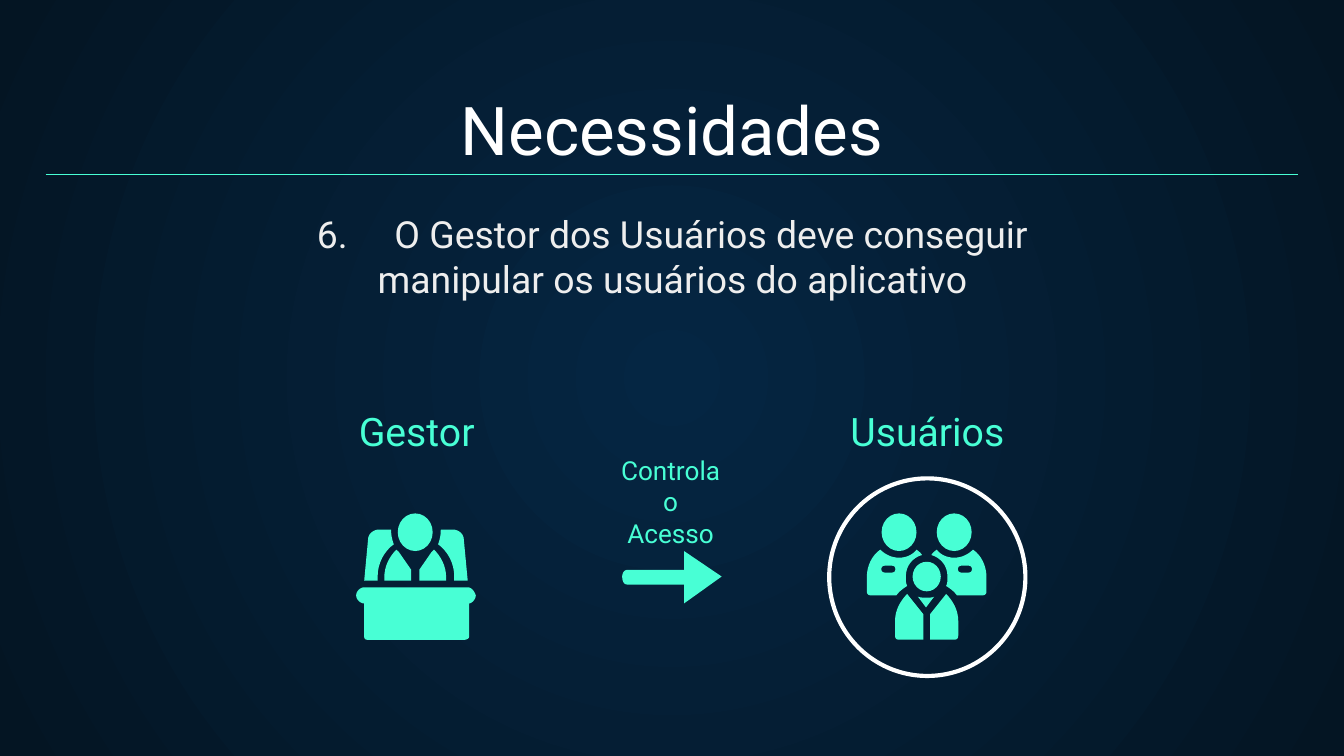
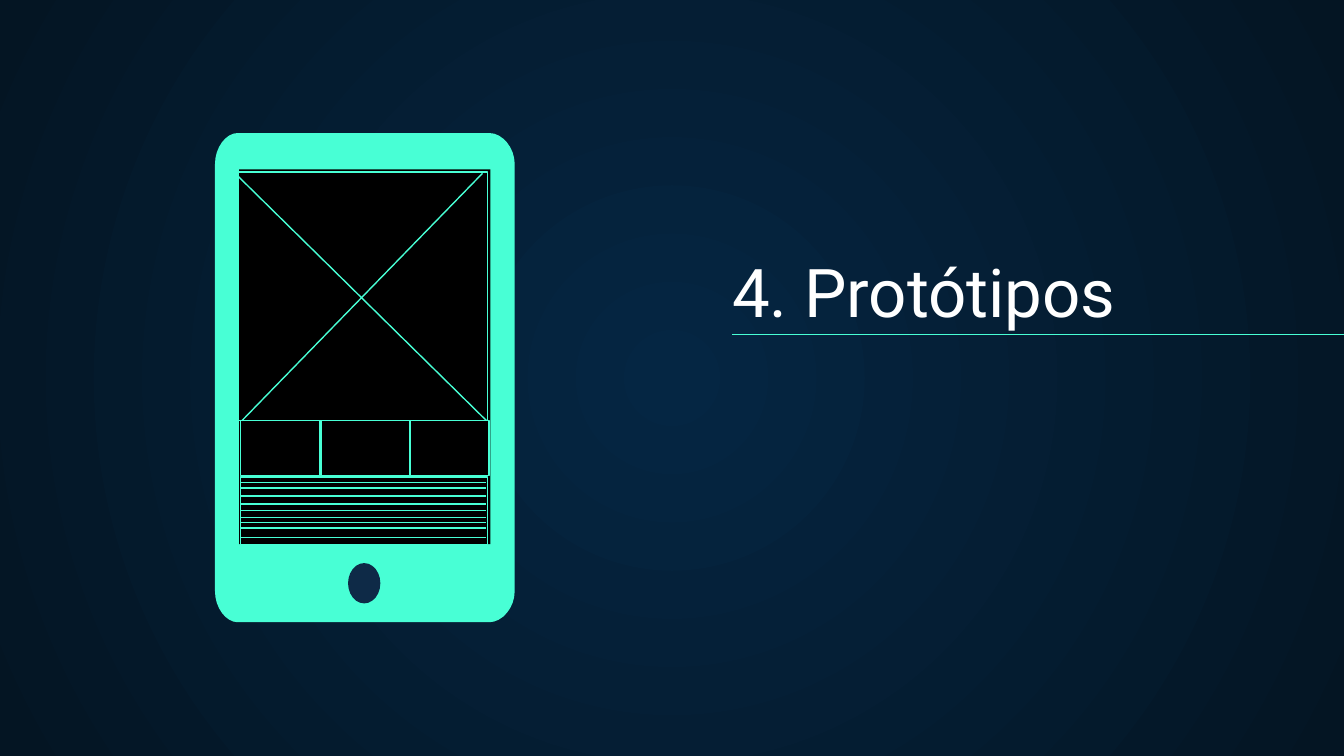
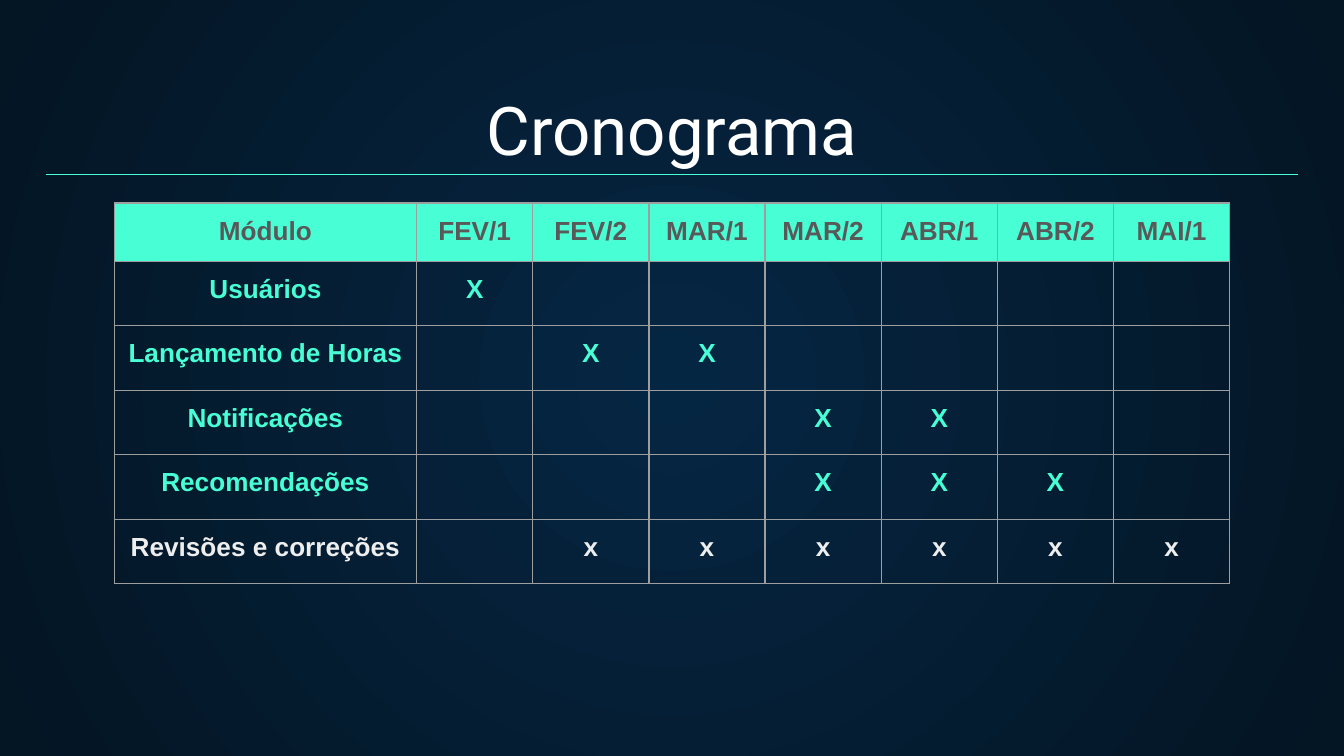
from dataclasses import dataclass

from lxml import etree
from pptx import Presentation
from pptx.dml.color import RGBColor
from pptx.enum.shapes import MSO_CONNECTOR, MSO_SHAPE
from pptx.enum.text import MSO_ANCHOR, PP_ALIGN
from pptx.oxml.ns import qn
from pptx.util import Inches, Pt

RECT, OVAL = MSO_SHAPE.RECTANGLE, MSO_SHAPE.OVAL
STRAIGHT = MSO_CONNECTOR.STRAIGHT
LEFT, CENTER = PP_ALIGN.LEFT, PP_ALIGN.CENTER
TOP, BOTTOM = MSO_ANCHOR.TOP, MSO_ANCHOR.BOTTOM


@dataclass(frozen=True)
class Theme:
    glow: str = "052643"
    night: str = "041523"
    mint: str = "48FFD5"
    white: str = "FFFFFF"
    pale: str = "EEEEEE"
    black: str = "000000"
    navy: str = "0E2A47"
    gray: str = "595959"
    grid: str = "9E9E9E"
    font: str = "Roboto"
    cell_font: str = "Arial"
    title: int = 36
    label: int = 21
    body: int = 20
    small: int = 14
    thin: float = 0.75
    thick: float = 2.25


T = Theme()


def rgb(code):
    return RGBColor.from_string(code)


# Shared background
def set_back(master):
    fill = master.background.fill
    fill.gradient()
    for stop, code in zip(fill.gradient_stops, (T.glow, T.night)):
        stop.color.rgb = rgb(code)
    grad = master.element.find(".//" + qn("a:gradFill"))
    grad.remove(grad.find(qn("a:lin")))
    ring = etree.SubElement(grad, qn("a:path"), path="circle")
    etree.SubElement(ring, qn("a:fillToRect"),
                     {side: "50000" for side in "ltrb"})


# Text
def add_run(para, text, size, color, font=T.font, bold=False):
    run = para.add_run()
    run.text = text
    run.font.size, run.font.name, run.font.bold = Pt(size), font, bold
    run.font.color.rgb = rgb(color)
    return run


def add_text(slide, box, text, size, color, align=CENTER, anchor=TOP):
    frame = slide.shapes.add_textbox(*map(Inches, box)).text_frame
    frame.word_wrap = True
    frame.vertical_anchor = anchor
    frame.margin_left = frame.margin_right = Inches(0.1)
    frame.margin_top = frame.margin_bottom = Inches(0.1)
    para = frame.paragraphs[0]
    para.alignment = align
    if text:
        add_run(para, text, size, color)
    return para


# Lines and shapes
def add_line(slide, start, end):
    line = slide.shapes.add_connector(
        STRAIGHT, *map(Inches, (*start, *end)))
    line.line.color.rgb = rgb(T.mint)
    line.line.width = Pt(T.thin)
    etree.SubElement(line.element.spPr, qn("a:effectLst"))


def paint(shape, fill=None, line=None, width=T.thin):
    shape.shadow.inherit = False
    if fill:
        shape.fill.solid()
        shape.fill.fore_color.rgb = rgb(fill)
    else:
        shape.fill.background()
    if line:
        shape.line.color.rgb = rgb(line)
        shape.line.width = Pt(width)
    else:
        shape.line.fill.background()


def add_form(shapes, kind, box, **look):
    paint(shapes.add_shape(kind, *map(Inches, box)), **look)


def trace(path, steps=8):
    """Turn (x, y) corners and six-number Bezier curves into points."""
    points = [path[0]]
    for part in path[1:]:
        if len(part) == 2:
            points.append(part)
            continue
        knots = [points[-1], part[:2], part[2:4], part[4:]]
        for i in range(1, steps + 1):
            t = i / steps
            mix = ((1 - t) ** 3, 3 * t * (1 - t) ** 2,
                   3 * t * t * (1 - t), t ** 3)
            points.append(tuple(sum(m * k[axis] for m, k in zip(mix, knots))
                                for axis in (0, 1)))
    return [(Inches(x), Inches(y)) for x, y in points]


def add_path(shapes, *paths):
    first, *holes = map(trace, paths)
    pen = shapes.build_freeform(*first[0])
    pen.add_line_segments(first[1:], close=True)
    for hole in holes:
        pen.move_to(*hole[0])
        pen.add_line_segments(hole[1:], close=True)
    paint(pen.convert_to_shape(), fill=T.mint)


def flip(path, total):
    return [tuple(total - v if i % 2 == 0 else v
                  for i, v in enumerate(part)) for part in path]


def add_pair(shapes, total, *paths):
    """Draw a part and its mirror; total is the sum of both x values."""
    add_path(shapes, *paths)
    add_path(shapes, *(flip(path, total) for path in paths))


# Icons
def draw_desk(slide):
    shapes = slide.shapes.add_group_shape().shapes
    add_form(shapes, OVAL, (2.96, 3.82, 0.26, 0.28), fill=T.mint)
    desk = [(2.71, 4.37), (2.68, 4.37, 2.65, 4.4, 2.65, 4.43),
            (2.65, 4.46, 2.68, 4.49, 2.71, 4.49), (2.71, 4.74),
            (2.71, 4.75, 2.72, 4.76, 2.73, 4.76), (3.46, 4.76),
            (3.47, 4.76, 3.49, 4.75, 3.49, 4.74), (3.49, 4.49),
            (3.51, 4.49, 3.54, 4.46, 3.54, 4.43),
            (3.53, 4.4, 3.51, 4.37, 3.48, 4.37)]
    chair = [(2.82, 3.94), (2.79, 3.94, 2.75, 3.96, 2.74, 4), (2.71, 4.32),
             (2.81, 4.32), (2.81, 4.29),
             (2.81, 4.19, 2.86, 4.1, 2.93, 4.05),
             (2.92, 4.02, 2.91, 3.99, 2.91, 3.94)]
    coat = [(2.95, 4.09), (2.9, 4.14, 2.86, 4.21, 2.86, 4.3), (2.86, 4.32),
            (3.06, 4.32), (3.06, 4.24), (2.97, 4.11)]
    add_path(shapes, desk)
    add_pair(shapes, 6.19, chair)
    add_pair(shapes, 6.18, coat)


def draw_team(slide):
    shapes = slide.shapes.add_group_shape().shapes
    total = 13.79
    for head in ((6.79, 4.18, 0.21, 0.22), (6.56, 3.82, 0.26, 0.28),
                 (6.97, 3.82, 0.26, 0.28)):
        add_form(shapes, OVAL, head, fill=T.mint)
    collar = [(6.83, 4.44), (6.89, 4.52), (6.95, 4.44),
              (6.94, 4.45, 6.85, 4.45, 6.83, 4.44)]
    coat = [(6.75, 4.42), (6.7, 4.47, 6.66, 4.54, 6.66, 4.62), (6.66, 4.73),
            (6.66, 4.75, 6.67, 4.76, 6.69, 4.76), (6.87, 4.76), (6.87, 4.57)]
    badge = [(6.64, 4.21), (6.67, 4.21, 6.67, 4.26, 6.64, 4.26),
             (6.58, 4.26), (6.55, 4.26, 6.55, 4.21, 6.58, 4.21)]
    torso = [(6.55, 4.09), (6.49, 4.13, 6.45, 4.21, 6.45, 4.29), (6.45, 4.4),
             (6.45, 4.42, 6.46, 4.43, 6.48, 4.43), (6.67, 4.43),
             (6.69, 4.4, 6.72, 4.38, 6.75, 4.36),
             (6.74, 4.34, 6.74, 4.32, 6.74, 4.29),
             (6.74, 4.21, 6.79, 4.15, 6.86, 4.13),
             (6.85, 4.11, 6.83, 4.1, 6.82, 4.09),
             (6.79, 4.13, 6.74, 4.15, 6.69, 4.15),
             (6.64, 4.15, 6.59, 4.13, 6.55, 4.09)]
    add_path(shapes, collar)
    add_pair(shapes, total, coat)
    add_pair(shapes, total, torso, badge)


def draw_arrow(slide):
    add_path(slide.shapes, [
        (5.37, 4.29), (5.09, 4.1), (5.09, 4.24), (4.67, 4.24),
        (4.64, 4.24, 4.63, 4.27, 4.63, 4.29),
        (4.63, 4.32, 4.64, 4.35, 4.67, 4.35), (5.09, 4.35), (5.09, 4.49)])


def draw_phone(slide):
    shapes = slide.shapes
    add_path(shapes, [
        (1.77, 0.99), (1.68, 0.99, 1.6, 1.1, 1.6, 1.22), (1.6, 4.4),
        (1.6, 4.52, 1.68, 4.63, 1.77, 4.63), (3.64, 4.63),
        (3.74, 4.63, 3.83, 4.52, 3.83, 4.4), (3.83, 1.22),
        (3.83, 1.1, 3.74, 0.99, 3.64, 0.99)])
    add_form(shapes, RECT, (1.78, 1.26, 1.87, 2.79), fill=T.black)
    add_form(shapes, OVAL, (2.59, 4.19, 0.24, 0.3), fill=T.navy)
    # Wireframe: image area, three tabs, text block
    for box in ((1.76, 1.28, 1.87, 1.85), (1.79, 3.55, 1.84, 0.5),
                (1.79, 3.13, 0.59, 0.41), (2.39, 3.13, 0.66, 0.41),
                (3.05, 3.13, 0.59, 0.41)):
        add_form(shapes, RECT, box, line=T.mint)
    add_line(slide, (3.59, 1.29), (1.8, 3.13))
    add_line(slide, (1.76, 1.3), (3.62, 3.13))
    for y in (3.59, 3.63, 3.69, 3.75, 3.8, 3.85, 3.89, 3.93, 4):
        add_line(slide, (1.79, y), (3.62, y))


# Table
def set_edges(cell):
    props = cell._tc.get_or_add_tcPr()
    for side in "LRTB":
        edge = etree.SubElement(props, qn("a:ln" + side),
                                w=str(Pt(T.thin)))
        fill = etree.SubElement(edge, qn("a:solidFill"))
        etree.SubElement(fill, qn("a:srgbClr"), val=T.grid)


def fill_cell(cell, text, color, fill=None):
    set_edges(cell)
    if fill:
        cell.fill.solid()
        cell.fill.fore_color.rgb = rgb(fill)
    else:
        cell.fill.background()
    if text:
        cell.margin_left = cell.margin_right = Inches(0.1)
        cell.margin_top = cell.margin_bottom = Inches(0.1)
        para = cell.text_frame.paragraphs[0]
        para.alignment = CENTER
        add_run(para, text, T.small, color, T.cell_font, True)


def add_plan(slide, months, plan):
    rows, cols = len(plan) + 1, len(months) + 1
    width, first = 8.3, 2.25
    table = slide.shapes.add_table(
        rows, cols, *map(Inches, (0.85, 1.51, width, 2.83))).table
    table.first_row = table.horz_banding = False
    for i, col in enumerate(table.columns):
        col.width = Inches((width - first) / len(months) if i else first)
    for i, row in enumerate(table.rows):
        row.height = Inches(0.48 if i else 0.43)
    for i, text in enumerate(["Módulo", *months]):
        fill_cell(table.cell(0, i), text, T.gray, T.mint)
    for i, (task, mark, color, busy) in enumerate(plan, 1):
        fill_cell(table.cell(i, 0), task, color)
        for j in range(1, cols):
            fill_cell(table.cell(i, j), mark if j in busy else "", color)


# Slides
def add_slide(prs):
    return prs.slides.add_slide(prs.slide_layouts[6])


def add_title(slide, text):
    add_text(slide, (0.34, 0.7, 9.32, 0.66), text, T.title, T.white,
             anchor=BOTTOM)
    add_line(slide, (0.34, 1.3), (9.66, 1.3))


def needs(slide):
    para = add_text(slide, (0.74, 1.47, 8.53, 1.14), "", T.body, T.pale)
    add_run(para, "6.", T.body, T.pale)
    gap = add_run(para, " ", T.body, T.pale)
    gap.font._element.set("spc", "2000")
    add_run(para, "O Gestor dos Usuários deve conseguir", T.body, T.pale)
    para.add_line_break()
    add_run(para, "manipular os usuários do aplicativo", T.body, T.pale)
    add_title(slide, "Necessidades")
    draw_team(slide)
    draw_desk(slide)
    add_form(slide.shapes, OVAL, (6.17, 3.56, 1.46, 1.47),
             line=T.white, width=T.thick)
    draw_arrow(slide)
    for x, text in ((2.19, "Gestor"), (5.99, "Usuários")):
        add_text(slide, (x, 2.93, 1.82, 0.5), text, T.label, T.mint)
    add_text(slide, (4.49, 3.28, 1, 0.67), "Controla o Acesso",
             T.small, T.mint)


def mockup(slide):
    add_text(slide, (5.35, 1.9, 3.86, 0.66), "4. Protótipos", T.title,
             T.white, LEFT, BOTTOM)
    add_line(slide, (5.45, 2.49), (10.31, 2.49))
    draw_phone(slide)


def schedule(slide):
    add_title(slide, "Cronograma")
    months = ["FEV/1", "FEV/2", "MAR/1", "MAR/2", "ABR/1", "ABR/2", "MAI/1"]
    add_plan(slide, months, [
        ("Usuários", "X", T.mint, [1]),
        ("Lançamento de Horas", "X", T.mint, [2, 3]),
        ("Notificações", "X", T.mint, [4, 5]),
        ("Recomendações", "X", T.mint, [4, 5, 6]),
        ("Revisões e correções", "x", T.pale, range(2, 8))])


def main():
    prs = Presentation()
    prs.slide_width = Inches(10)
    prs.slide_height = Inches(10) * 9 // 16
    set_back(prs.slide_master)
    for build in (needs, mockup, schedule):
        build(add_slide(prs))
    prs.save("out.pptx")


if __name__ == "__main__":
    main()
